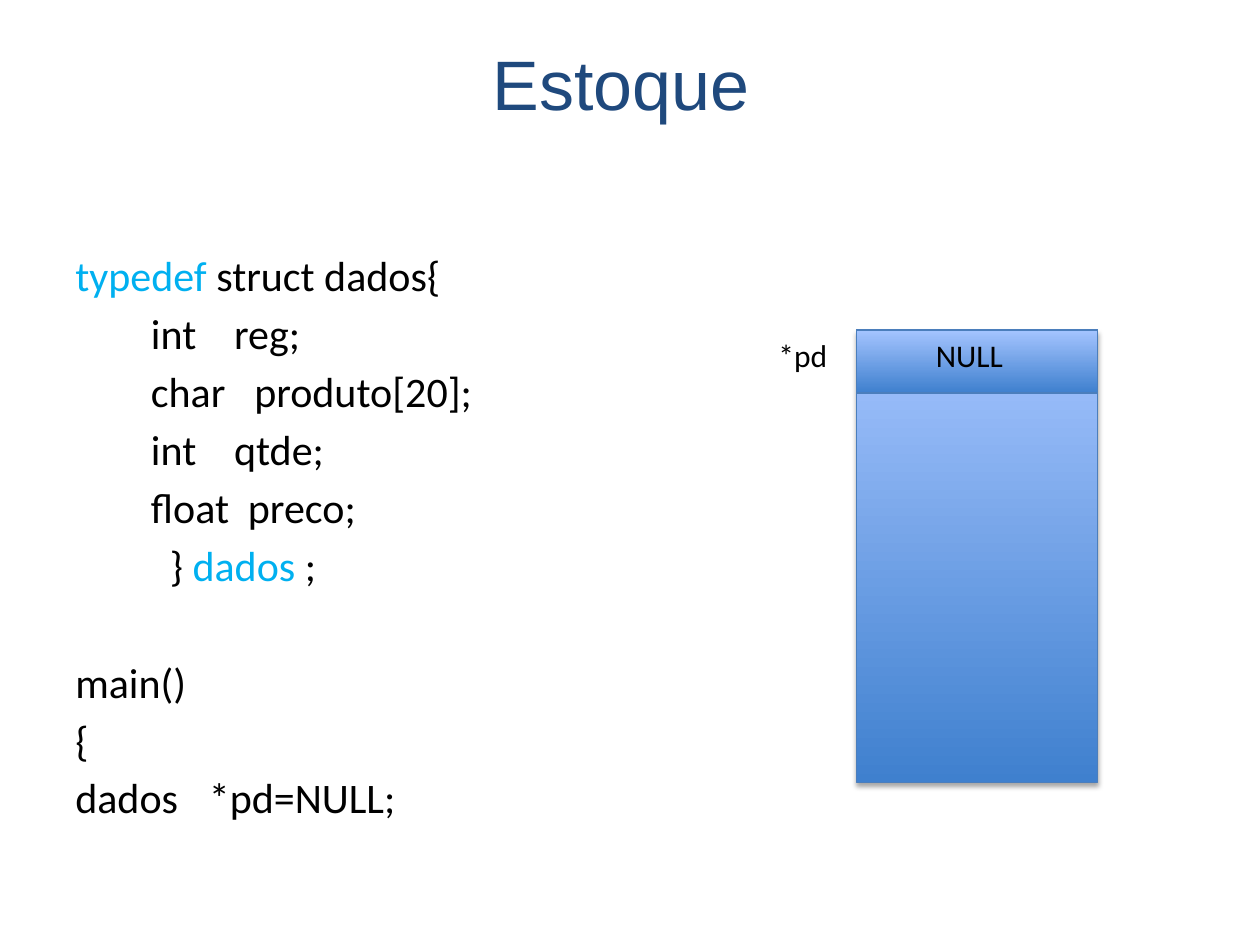
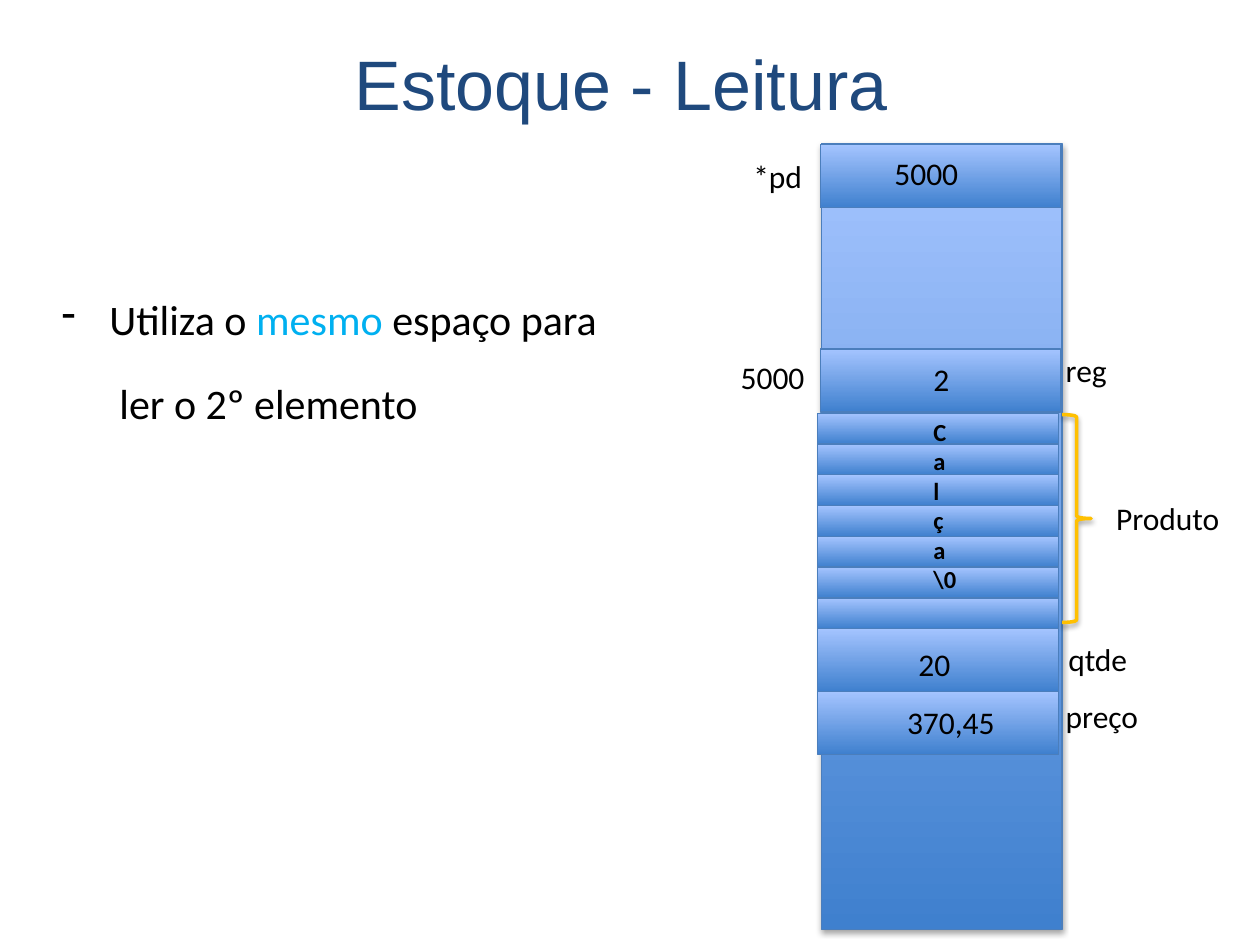
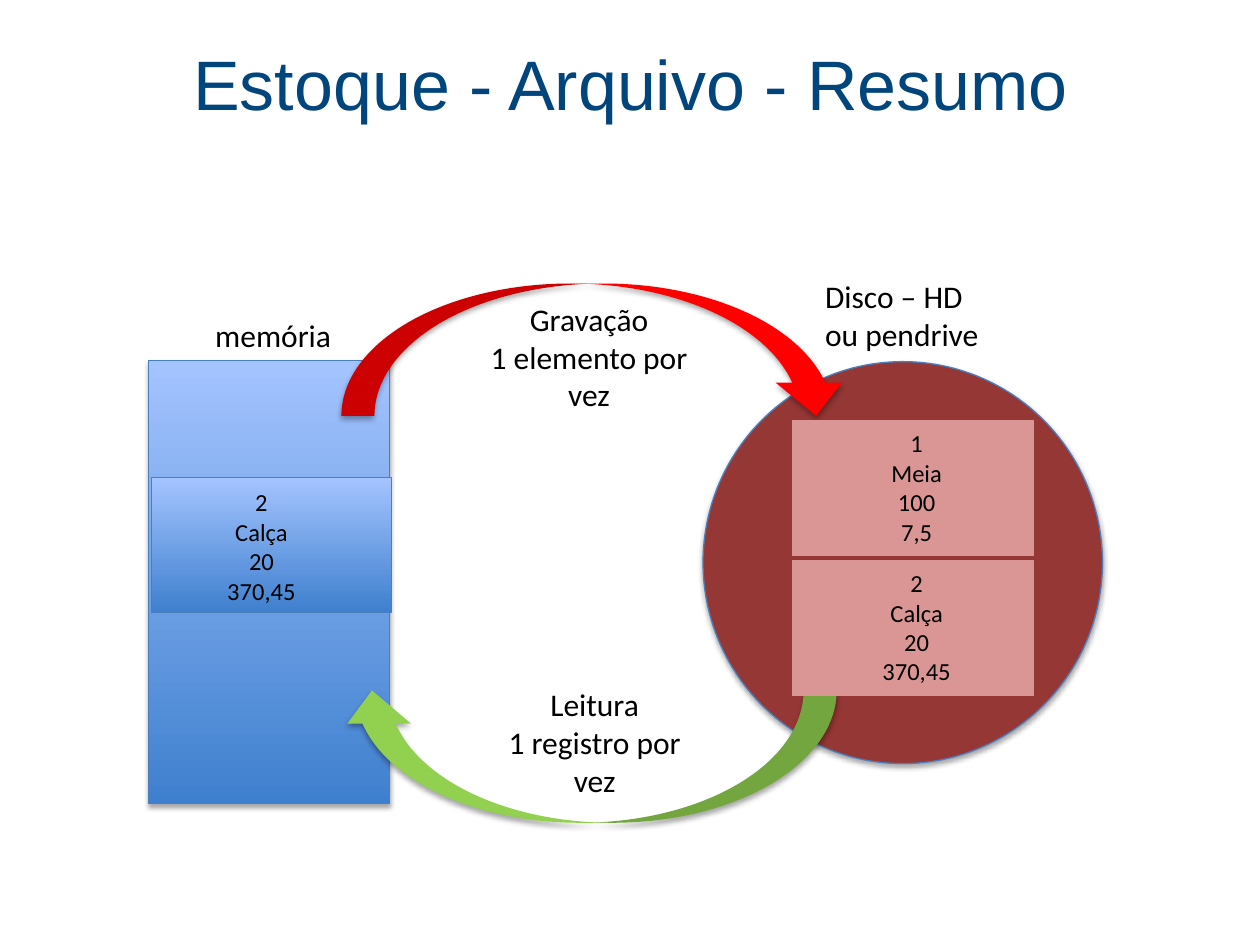
from collections import namedtuple

from lxml.etree import SubElement
from pptx import Presentation
from pptx.dml.color import RGBColor
from pptx.enum.shapes import MSO_SHAPE as Preset
from pptx.enum.text import MSO_ANCHOR as Anchor, PP_ALIGN as Align
from pptx.oxml.ns import qn
from pptx.util import Inches, Pt

COLORS = {
    "title": "1F497D",
    "summary_title": "00457C",
    "text": "000000",
    "accent": "00B0F0",
    "cell_dark": "3F80CE",
    "cell_light": "A4C4FF",
    "outline": "4B7EBC",
    "brace": "FFC000",
    "disk": "953735",
    "record": "D99694",
    "write": "FF0000",
    "read": "92D050",
}
TITLE_FONT, BODY_FONT = "Arial", "Calibri"
CELL_WIDTH, CELL_HEIGHT = 1.91, 0.5
RECORD_HEIGHT = 1.07
LABEL_HEIGHT = 0.4

Box = namedtuple("Box", "left top width height")


def rgb(name):
    return RGBColor.from_string(COLORS[name])


def inside(box, left, top, width, height):
    """Box whose left and top are measured from the corner of another box."""
    return Box(box.left + left, box.top + top, width, height)


def lengths(box):
    return [Inches(value) for value in box]


def format_run(run, size, color="text", font=BODY_FONT, bold=False):
    run.font.size = Pt(size)
    run.font.name = font
    run.font.bold = bold
    run.font.color.rgb = rgb(color)


def add_text_frame(slide, box):
    text_frame = slide.shapes.add_textbox(*lengths(box)).text_frame
    text_frame.word_wrap = True
    return text_frame


def add_label(slide, box, text, size=18, align=Align.LEFT, bold=False):
    text_frame = add_text_frame(slide, box)
    text_frame.text = text
    for paragraph in text_frame.paragraphs:
        paragraph.alignment = align
        for run in paragraph.runs:
            format_run(run, size, bold=bold)
    return text_frame


def add_title(slide, text, color="title"):
    text_frame = add_text_frame(slide, Box(0.35, 0.03, 9.31, 1.25))
    text_frame.vertical_anchor = Anchor.MIDDLE
    text_frame.text = text
    paragraph = text_frame.paragraphs[0]
    paragraph.alignment = Align.CENTER
    format_run(paragraph.runs[0], 40, color, TITLE_FONT)


def add_shadow(shape):
    effects = shape._element.spPr.find(qn("a:effectLst"))
    shadow = SubElement(effects, qn("a:outerShdw"), blurRad=str(Pt(3.1)),
                        dist=str(Pt(1.8)), dir="5400000", rotWithShape="0")
    color = SubElement(shadow, qn("a:srgbClr"), val=COLORS["text"])
    SubElement(color, qn("a:alpha"), val="35000")


def add_figure(slide, preset, box, fill=None, line=None, line_width=0.75, shadow=False):
    shape = slide.shapes.add_shape(preset, *lengths(box))
    shape.shadow.inherit = False
    if fill:
        shape.fill.solid()
        shape.fill.fore_color.rgb = rgb(fill)
    else:
        shape.fill.background()
    if line:
        shape.line.color.rgb = rgb(line)
        shape.line.width = Pt(line_width)
    else:
        shape.line.fill.background()
    if shadow:
        add_shadow(shape)
    return shape


def add_cell(slide, box, shadow=False):
    """Memory block that fades from light at the top to dark at the bottom."""
    shape = add_figure(slide, Preset.RECTANGLE, box, line="outline", shadow=shadow)
    shape.fill.gradient()
    shape.fill.gradient_angle = 90
    for stop, name in zip(shape.fill.gradient_stops, ("cell_dark", "cell_light")):
        stop.color.rgb = rgb(name)


def write_line(paragraph, text, accent=None, space_before=4.3):
    """Write a body line in which one word may stand out."""
    paragraph.space_before = Pt(space_before)
    parts = text.partition(accent) if accent else (text,)
    for part in filter(None, parts):
        run = paragraph.add_run()
        run.text = part
        format_run(run, 24, "accent" if part == accent else "text")


def set_tab_stops(paragraph, stops):
    tab_list = SubElement(paragraph._p.get_or_add_pPr(), qn("a:tabLst"))
    for stop in stops:
        SubElement(tab_list, qn("a:tab"), pos=str(Inches(stop)), algn="l")


def add_body(slide, box, text_top):
    text_frame = add_text_frame(slide, box)
    text_frame.margin_top = Inches(text_top)
    return text_frame


def add_code(slide, box):
    member, block_gap = 0.6, 38
    lines = [
        ("typedef struct dados{", (), "typedef", 0),
        ("\tint\treg;", (member, 1.26), None, 4.3),
        ("\tchar\tproduto[20];", (member, 1.42), None, 4.3),
        ("\tint\tqtde;", (member, 1.26), None, 4.3),
        ("\tfloat\tpreco;", (member, 1.37), None, 4.3),
        ("\t} dados ;", (0.75,), "dados", 4.3),
        ("main()", (), None, block_gap),
        ("{", (), None, 4.3),
        ("dados\t*pd=NULL;", (1.06,), None, 4.3),
    ]
    text_frame = add_body(slide, box, 0.52)
    for index, (text, stops, accent, space_before) in enumerate(lines):
        paragraph = text_frame.add_paragraph() if index else text_frame.paragraphs[0]
        write_line(paragraph, text, accent, space_before)
        if stops:
            set_tab_stops(paragraph, stops)


def add_null_pointer(slide, box):
    add_cell(slide, box, shadow=True)
    add_label(slide, inside(box, -0.72, 0, 0.83, LABEL_HEIGHT), "*pd")
    add_cell(slide, inside(box, 0, 0, box.width, CELL_HEIGHT))
    add_label(slide, inside(box, 0.53, 0, 1.27, LABEL_HEIGHT), "NULL")


def add_reading_note(slide, box):
    text_frame = add_body(slide, box, 1.4)
    bullet, continuation = text_frame.paragraphs[0], text_frame.add_paragraph()
    write_line(bullet, "Utiliza o mesmo espaço para", "mesmo", 0)
    write_line(continuation, "ler o 2º elemento", space_before=19)
    for paragraph, margin, indent in ((bullet, 0.38, -0.38), (continuation, 0.46, 0)):
        properties = paragraph._p.get_or_add_pPr()
        properties.set("marL", str(Inches(margin)))
        properties.set("indent", str(Inches(indent)))
    SubElement(bullet._p.pPr, qn("a:buChar"), char="-")


def add_product_letters(slide, box):
    """Stack of one-character cells with the word in it and a brace beside it."""
    count = 7
    step = box.height / count
    for index in range(count):
        add_cell(slide, inside(box, 0, index * step, box.width, step))
    add_label(slide, inside(box, 0.82, -0.02, 0.39, 1.51), "C\na\nl\nç\na\n\\0",
              size=14, bold=True).word_wrap = False
    add_figure(slide, Preset.RIGHT_BRACE, inside(box, 1.94, 0.01, 0.23, 1.65),
               line="brace", line_width=2, shadow=True)
    add_label(slide, inside(box, 2.27, 0.63, 1.46, LABEL_HEIGHT), "Produto")


def add_record_memory(slide, box):
    add_cell(slide, box, shadow=True)
    for left, top in ((-0.01, 0.01), (-0.01, 1.63), (-0.03, 3.85), (-0.03, 4.35)):
        add_cell(slide, inside(box, left, top, box.width, CELL_HEIGHT))
    add_product_letters(slide, inside(box, -0.03, 2.14, box.width, 1.71))
    labels = [
        ("*pd", -0.64, 0.06), ("5000", 0.48, 0.03),
        ("5000", -0.74, 1.65), ("2", 0.79, 1.67), ("reg", 1.84, 1.6),
        ("20", 0.67, 3.93), ("qtde", 1.86, 3.89),
        ("370,45", 0.58, 4.39), ("preço", 1.84, 4.34),
    ]
    for text, left, top in labels:
        add_label(slide, inside(box, left, top, 1.25, LABEL_HEIGHT), text)


def add_record_text(slide, box, fields):
    add_label(slide, box, "\n".join(fields), size=14, align=Align.CENTER)


def add_memory(slide, box, fields):
    add_cell(slide, box, shadow=True)
    add_label(slide, inside(box, 0.43, -0.4, 1.25, LABEL_HEIGHT), "memória")
    add_cell(slide, inside(box, 0.02, 0.93, box.width, RECORD_HEIGHT))
    add_record_text(slide, inside(box, 0.45, 0.96, 0.89, 1.04), fields)


def add_disk(slide, box):
    add_figure(slide, Preset.OVAL, box, "disk", "outline", shadow=True)
    add_label(slide, inside(box, 0.87, -0.72, 1.59, 0.71), "Disco – HD ou pendrive")


def add_disk_records(slide, box, records):
    for index, fields in enumerate(records):
        record = inside(box, 0.71, 0.47 + index * 1.11, CELL_WIDTH, RECORD_HEIGHT)
        add_figure(slide, Preset.RECTANGLE, record, "record", "record")
        add_record_text(slide, inside(record, 0.54, 0.01, 0.89, 1.04), fields)


def add_transfer_arrows(slide, box):
    add_figure(slide, Preset.CURVED_DOWN_ARROW, inside(box, 0.01, 0, 4.03, 1.05),
               "write", shadow=True)
    reading = add_figure(slide, Preset.CURVED_DOWN_ARROW,
                         inside(box, 0, box.height - 1.05, 3.94, 1.05),
                         "read", shadow=True)
    reading.rotation = 180
    reading.adjustments[1] = 0.48


def add_transfer_labels(slide, box):
    labels = [
        ("Gravação\n1 elemento por vez", 1.02, 0.08, 1.91),
        ("Leitura\n1 registro por vez", 1.13, 3.14, 1.78),
    ]
    for text, left, top, width in labels:
        add_label(slide, inside(box, left, top, width, 1.01), text, align=Align.CENTER)


def build_declaration(slide):
    add_code(slide, Box(0.5, 1.46, 9, 5.11))
    add_title(slide, "Estoque ")
    add_null_pointer(slide, Box(6.8, 2.62, CELL_WIDTH, 3.59))


def build_reading(slide):
    add_reading_note(slide, Box(0.39, 0.93, 9, 6.02))
    add_title(slide, "Estoque - Leitura ")
    add_record_memory(slide, Box(6.52, 1.14, CELL_WIDTH, 6.24))


def build_summary(slide):
    socks = ("1", "Meia", "100", "7,5")
    trousers = ("2", "Calça", "20", "370,45")
    disk = Box(5.58, 2.87, 3.17, 3.19)
    transfer = Box(2.7, 2.25, 4.04, 4.28)
    add_title(slide, "Estoque - Arquivo - Resumo", "summary_title")
    add_memory(slide, Box(1.18, 2.86, CELL_WIDTH, 3.52), trousers)
    add_disk(slide, disk)
    add_transfer_arrows(slide, transfer)
    add_disk_records(slide, disk, (socks, trousers))
    add_transfer_labels(slide, transfer)


def main():
    presentation = Presentation()
    presentation.slide_width, presentation.slide_height = Inches(10), Inches(7.5)
    blank = presentation.slide_layouts[6]
    for build in (build_declaration, build_reading, build_summary):
        build(presentation.slides.add_slide(blank))
    presentation.save("out.pptx")


if __name__ == "__main__":
    main()
